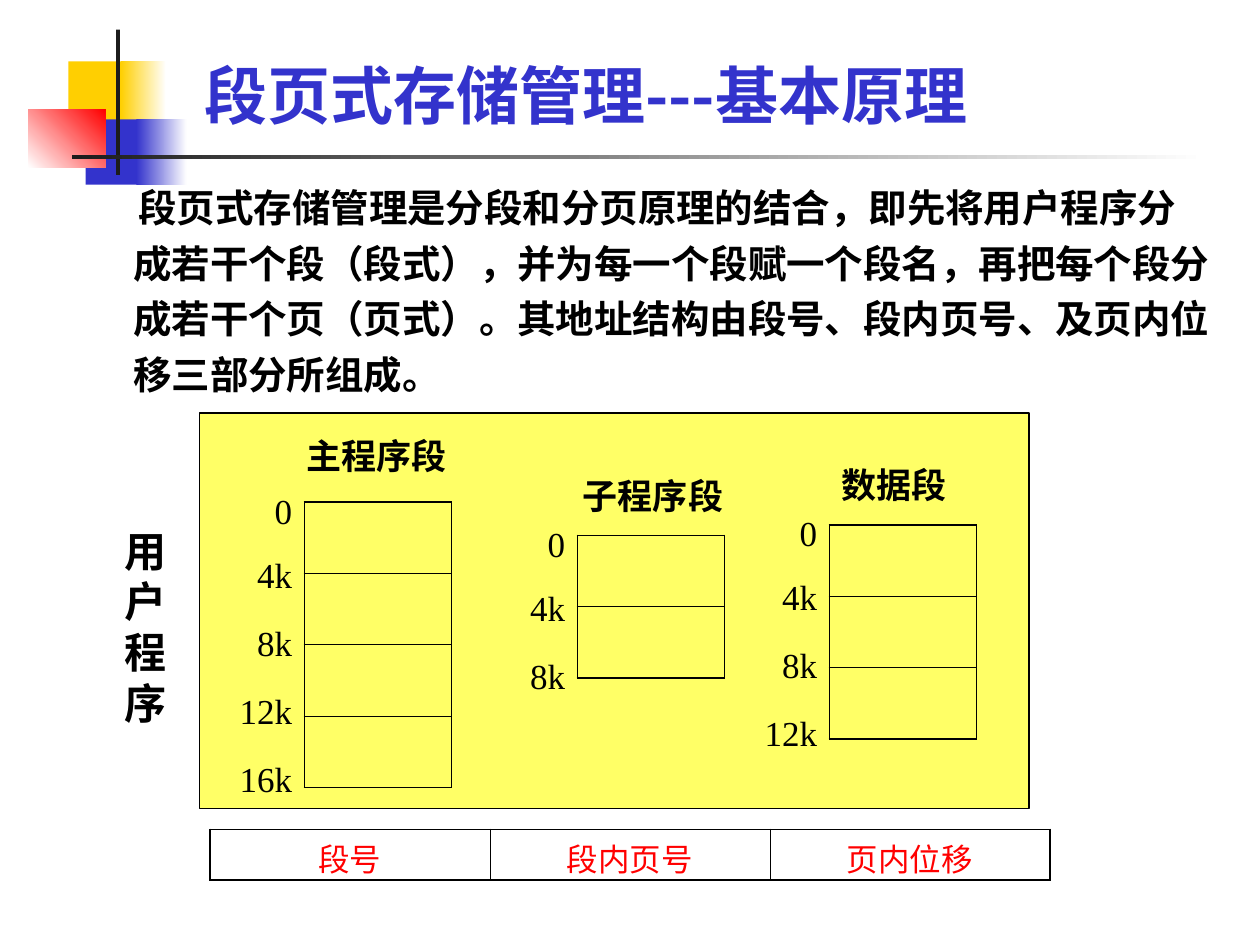
from lxml import etree
from pptx import Presentation
from pptx.dml.color import RGBColor
from pptx.enum.shapes import MSO_SHAPE
from pptx.enum.text import MSO_ANCHOR, PP_ALIGN
from pptx.oxml.ns import qn
from pptx.util import Pt

RECTANGLE = MSO_SHAPE.RECTANGLE
LEFT, CENTER, RIGHT = PP_ALIGN.LEFT, PP_ALIGN.CENTER, PP_ALIGN.RIGHT
BOTTOM, TOP = MSO_ANCHOR.BOTTOM, MSO_ANCHOR.TOP

BLACK = RGBColor(0x00, 0x00, 0x00)
WHITE = RGBColor(0xFF, 0xFF, 0xFF)
CHARCOAL = RGBColor(0x1C, 0x1C, 0x1C)
BLUE = RGBColor(0x33, 0x33, 0xCC)
GOLD = RGBColor(0xFF, 0xCF, 0x01)
RED = RGBColor(0xFF, 0x00, 0x00)
YELLOW = RGBColor(0xFF, 0xFF, 0x66)

SANS, SERIF, LATO = "Noto Sans CJK SC", "Times New Roman", "Lato"
OUTER_BORDER, INNER_BORDER = 1.08, 0.45


def write(frame, lines, font, align=LEFT, spacing=None):
    """Fill a text frame with one paragraph per line; returns the paragraphs."""
    frame.word_wrap = True
    frame.text = "\n".join(lines)
    for paragraph in frame.paragraphs:
        paragraph.alignment = align
        paragraph.line_spacing = spacing
        for run in paragraph.runs:
            for key, value in font.items():
                if key == "color":
                    run.font.color.rgb = value
                else:
                    setattr(run.font, key, value)
            east_asian = etree.SubElement(run.font._element, qn("a:ea"))
            east_asian.set("typeface", SANS)
    return frame.paragraphs


def add_grid(left, top, width, height, rows, columns):
    """Add an unfilled table with thick outer and thin inner borders."""
    grid = slide.shapes.add_table(
        rows, columns, Pt(left), Pt(top), Pt(width), Pt(height)).table
    grid.first_row = grid.horz_banding = False
    for r in range(rows):
        for c in range(columns):
            cell = grid.cell(r, c)
            cell.fill.background()
            on_edge = {"L": c == 0, "R": c == columns - 1,
                       "T": r == 0, "B": r == rows - 1}
            for position, (side, outer) in enumerate(on_edge.items()):
                border = etree.Element(qn(f"a:ln{side}"))
                border.set("w", str(Pt(OUTER_BORDER if outer else INNER_BORDER)))
                paint = etree.SubElement(border, qn("a:solidFill"))
                etree.SubElement(paint, qn("a:srgbClr")).set("val", str(BLACK))
                cell._tc.get_or_add_tcPr().insert(position, border)
    return grid


presentation = Presentation()
presentation.slide_width, presentation.slide_height = Pt(720), Pt(540)
slide = presentation.slides.add_slide(presentation.slide_layouts[5])

# Corner ornament and the yellow panel: left, top, width, height, colours, angle
blocks = [
    (39, 35, 34.5, 37.5, [GOLD], 0),
    (69, 35, 26, 37.5, [GOLD, WHITE], 0),
    (49, 68.3, 33, 37.3, [BLUE], 0),
    (78, 68.3, 28.7, 37.3, [BLUE, WHITE], 0),
    (16.3, 62.5, 44, 33.3, [WHITE, RED], 45),
    (66.3, 17, 2.3, 83, [CHARCOAL], 0),
    (41.3, 88.5, 648, 2.5, [CHARCOAL, WHITE], 0),
    (114, 236, 474, 226, [YELLOW], 0),
]
for left, top, width, height, colors, angle in blocks:
    block = slide.shapes.add_shape(RECTANGLE, Pt(left), Pt(top), Pt(width), Pt(height))
    block.shadow.inherit = False
    block.line.fill.background()
    if len(colors) == 1:
        block.fill.solid()
        block.fill.fore_color.rgb = colors[0]
    else:
        block.fill.gradient()
        block.fill.gradient_angle = angle
        for stop, color in zip(block.fill.gradient_stops, colors):
            stop.color.rgb = color
    if colors == [YELLOW]:
        block.line.color.rgb = BLACK
        block.line.width = Pt(0.75)

# Title and explanation
title = slide.shapes.title
title.left, title.top, title.width, title.height = Pt(109.5), Pt(19), Pt(551.5), Pt(60)
title.text_frame.vertical_anchor = BOTTOM
write(title.text_frame, ["段页式存储管理---基本原理"],
      {"name": SANS, "size": Pt(36), "bold": True, "color": BLUE})

explanation = slide.shapes.add_textbox(Pt(42), Pt(96.5), Pt(658), Pt(135))
[explanation_paragraph] = write(
    explanation.text_frame,
    ["段页式存储管理是分段和分页原理的结合，即先将用户程序分成若干个段（段式），"
     "并为每一个段赋一个段名，再把每个段分成若干个页（页式）。"
     "其地址结构由段号、段内页号、及页内位移三部分所组成。"],
    {"name": SANS, "size": Pt(22), "bold": True, "color": BLACK}, spacing=Pt(31.7))
indents = explanation_paragraph._p.get_or_add_pPr()
indents.set("marL", str(Pt(27)))
indents.set("indent", str(Pt(3)))

# Segments: name, name left and top, grid left and top, pages, labels top
PAGE_SIZE_K, PAGE_WIDTH, PAGE_HEIGHT = 4, 84, 40.75
LABEL_WIDTH = 60
segments = [
    ("主程序段", 168, 245, 174, 287, 4, 276),
    ("子程序段", 326, 267.3, 330, 306, 2, 295),
    ("数据段", 474, 261.5, 474, 300, 3, 289),
]
for name, name_left, name_top, left, top, pages, labels_top in segments:
    add_grid(left, top, PAGE_WIDTH, PAGE_HEIGHT * pages, pages, 1)
    heading = slide.shapes.add_textbox(Pt(name_left), Pt(name_top), Pt(102), Pt(32))
    write(heading.text_frame, [name],
          {"name": SERIF, "size": Pt(20), "bold": True, "color": BLACK})
    offsets = slide.shapes.add_textbox(
        Pt(left - LABEL_WIDTH), Pt(labels_top), Pt(LABEL_WIDTH), Pt(38.5 * pages + 30))
    labels = ["0"] + [f"{PAGE_SIZE_K * page}k" for page in range(1, pages + 1)]
    label_paragraphs = write(
        offsets.text_frame, labels,
        {"name": SERIF, "size": Pt(20), "color": BLACK}, RIGHT, Pt(24))
    for index, paragraph in enumerate(label_paragraphs[1:]):
        paragraph.space_before = Pt(12.5)
        if index:
            paragraph.line_spacing = Pt(26.4)

program = slide.shapes.add_textbox(Pt(60), Pt(296.5), Pt(42), Pt(122.5))
write(program.text_frame, ["用户程序"],
      {"name": SERIF, "size": Pt(24), "bold": True, "color": BLACK}, RIGHT, Pt(28.9))

# Address structure
address = add_grid(120, 474, 480, 29, 1, 3)
for column, field in enumerate(["段号", "段内页号", "页内位移"]):
    cell = address.cell(0, column)
    cell.margin_top, cell.margin_bottom = Pt(8), Pt(0)
    cell.vertical_anchor = TOP
    write(cell.text_frame, [field],
          {"name": LATO, "size": Pt(18), "color": RED}, CENTER, Pt(21))

presentation.save("out.pptx")
